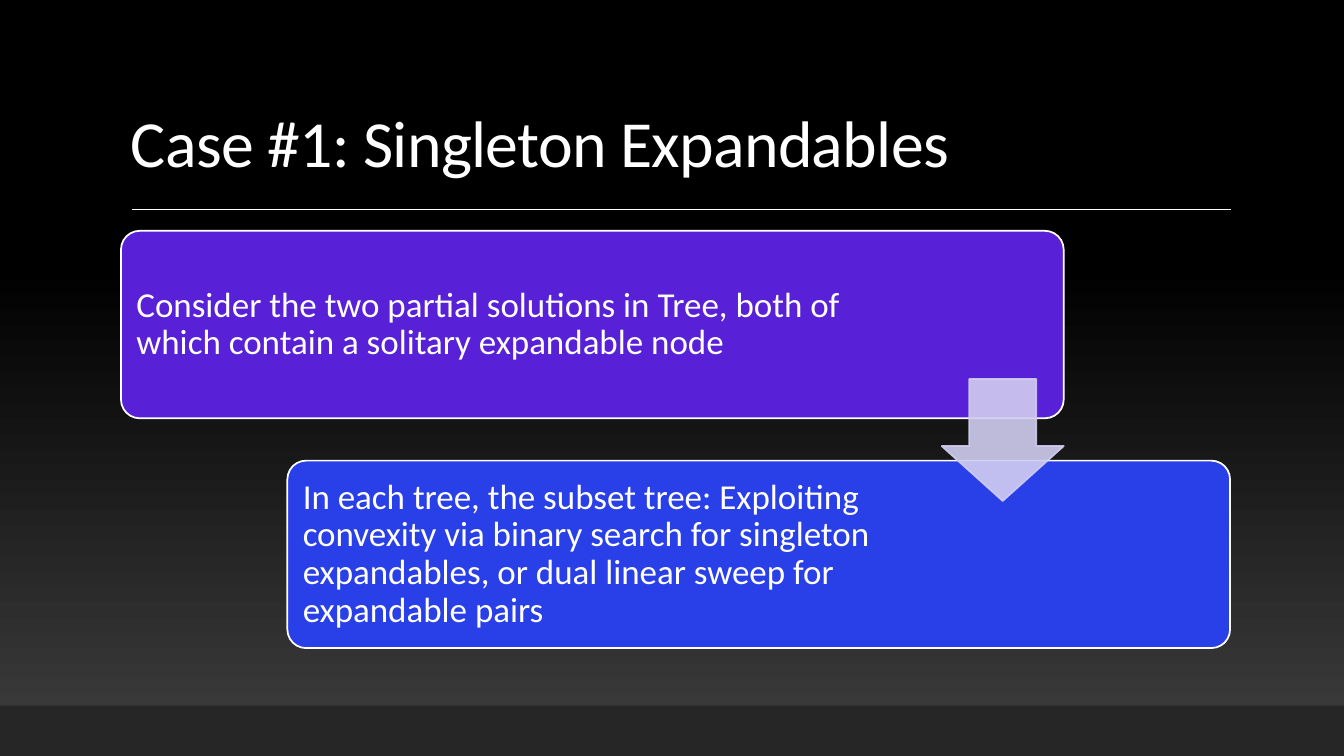
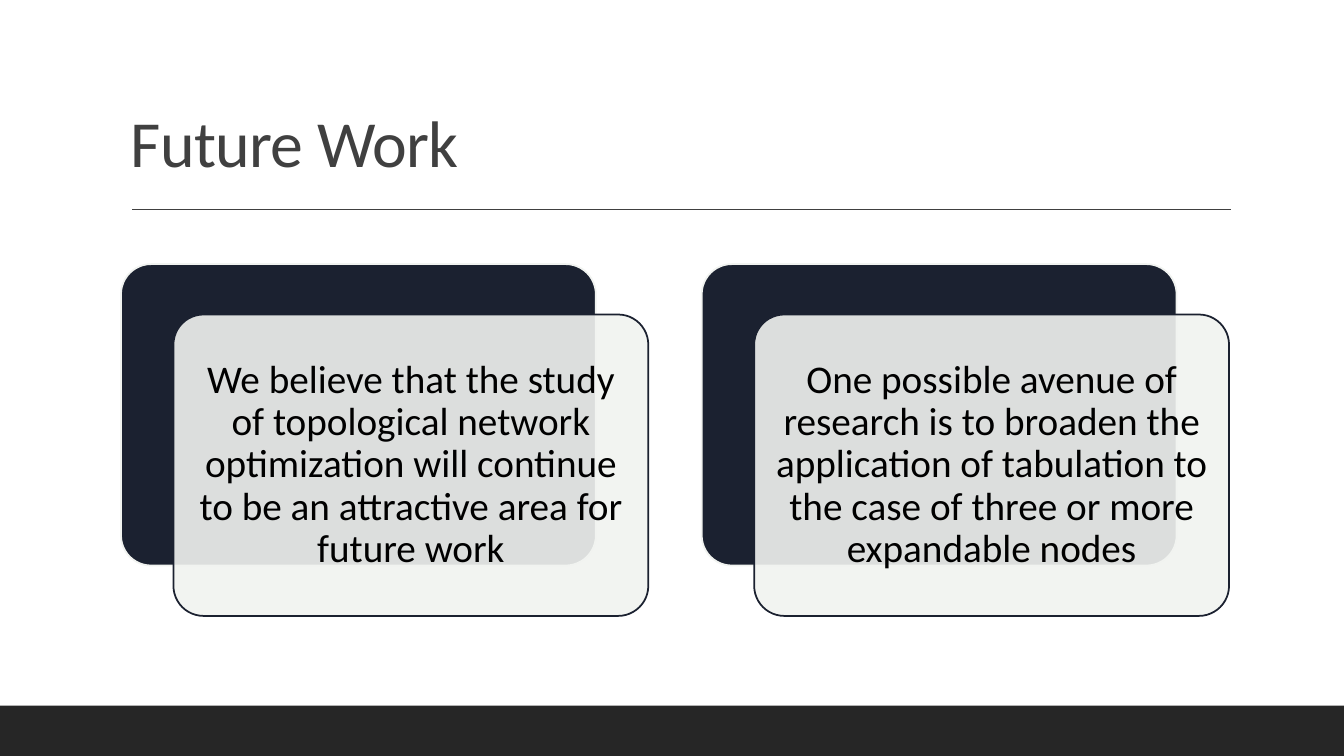
"""Build two slides on topological network optimization: a case study and future work."""
from dataclasses import dataclass

from lxml.etree import SubElement
from pptx import Presentation
from pptx.dml.color import RGBColor
from pptx.dml.fill import FillFormat
from pptx.enum.shapes import MSO_CONNECTOR, MSO_SHAPE
from pptx.enum.text import MSO_ANCHOR, PP_ALIGN
from pptx.oxml.ns import qn
from pptx.presentation import Presentation as Deck
from pptx.shapes.autoshape import Shape
from pptx.slide import Slide
from pptx.text.text import TextFrame
from pptx.util import Emu, Pt

EMU_PER_PX = 9144
SLIDE_WIDTH, SLIDE_HEIGHT = 1333, 750
FOOTER_HEIGHT = 50
FONT = "Calibri"
COLORS = {
    "white": "FFFFFF",
    "black": "000000",
    "glow": "3F3F3F",
    "ink": "404040",
    "footer": "262626",
    "violet": "5821D7",
    "blue": "293FE7",
    "lavender": "D1CDF0",
    "navy": "1B2130",
    "mist": "F1F3F0",
}


@dataclass(frozen=True)
class Box:
    left: int
    top: int
    width: int
    height: int

    def emu(self) -> tuple[Emu, Emu, Emu, Emu]:
        return px(self.left), px(self.top), px(self.width), px(self.height)

    def shifted(self, right: int, down: int) -> "Box":
        return Box(self.left + right, self.top + down, self.width, self.height)


@dataclass(frozen=True)
class Step:
    text: str
    fill: str
    shift: tuple[int, int]
    right_margin: int


TITLE = Box(120, 31, 1100, 159)
FOOTER = Box(0, SLIDE_HEIGHT - FOOTER_HEIGHT, SLIDE_WIDTH, FOOTER_HEIGHT)
RULE_LEFT, RULE_RIGHT, RULE_TOP = 131, 1221, 208

FIRST_STEP = Box(120, 229, 935, 186)
STEP_ARROW = Box(934, 376, 121, 121)
STEPS = (
    Step(
        "Consider the two partial solutions in Tree, both of which contain "
        "a solitary expandable node",
        "violet", (0, 0), 193,
    ),
    Step(
        "In each tree, the subset tree: Exploiting convexity via binary search for "
        "singleton  expandables, or dual linear sweep for expandable pairs",
        "blue", (165, 228), 297,
    ),
)

FIRST_CARD = Box(120, 262, 471, 299)
CARD_PITCH = 576
CARD_OFFSET = (52, 50)
IDEAS = (
    "We believe that the study of topological network optimization will continue "
    "to be an attractive area for future work",
    "One possible avenue of research is to broaden the application of tabulation "
    "to the case of three or more expandable nodes",
)


def px(length: int) -> Emu:
    return Emu(length * EMU_PER_PX)


def rgb(color: str) -> RGBColor:
    return RGBColor.from_string(COLORS[color])


def paint(fill: FillFormat, color: str) -> None:
    fill.solid()
    fill.fore_color.rgb = rgb(color)


def write(
    frame: TextFrame,
    text: str,
    *,
    size: int,
    color: str,
    align: PP_ALIGN = PP_ALIGN.LEFT,
    anchor: MSO_ANCHOR = MSO_ANCHOR.MIDDLE,
    margin: int = 10,
    right_margin: int | None = None,
    tracking: int = 0,
) -> None:
    frame.word_wrap = True
    frame.vertical_anchor = anchor
    frame.margin_left = frame.margin_top = frame.margin_bottom = px(margin)
    frame.margin_right = px(margin if right_margin is None else right_margin)
    paragraph = frame.paragraphs[0]
    paragraph.alignment = align
    paragraph.line_spacing = 0.9
    run = paragraph.add_run()
    run.text = text
    run.font.name = FONT
    run.font.size = Pt(size)
    run.font.color.rgb = rgb(color)
    if tracking:
        run.font._element.set("spc", str(tracking))


def set_opacity(shape: Shape, percent: int, *, line_too: bool) -> None:
    properties = shape.element.spPr
    parts = [properties.find(qn("a:solidFill"))]
    if line_too:
        parts.append(properties.find(qn("a:ln")))
    for part in parts:
        for color in part.iter(qn("a:srgbClr")):
            SubElement(color, qn("a:alpha")).set("val", str(percent * 1000))


def add_block(
    slide: Slide,
    kind: MSO_SHAPE,
    box: Box,
    *,
    fill: str,
    line: str | None = None,
    adjustments: tuple[float, ...] = (),
) -> Shape:
    block = slide.shapes.add_shape(kind, *box.emu())
    block.shadow.inherit = False
    paint(block.fill, fill)
    if line:
        block.line.color.rgb = rgb(line)
        block.line.width = Pt(1.25)
    else:
        block.line.fill.background()
    for index, value in enumerate(adjustments):
        block.adjustments[index] = value
    return block


def add_card(slide: Slide, box: Box, *, fill: str, line: str) -> Shape:
    return add_block(
        slide, MSO_SHAPE.ROUNDED_RECTANGLE, box, fill=fill, line=line, adjustments=(0.1,)
    )


def add_titled_slide(deck: Deck, title: str, color: str) -> Slide:
    slide = deck.slides.add_slide(deck.slide_layouts[6])
    heading = slide.shapes.add_textbox(*TITLE.emu())
    write(
        heading.text_frame, title,
        size=47, color=color, anchor=MSO_ANCHOR.BOTTOM, margin=10, tracking=-50,
    )
    rule = slide.shapes.add_connector(
        MSO_CONNECTOR.STRAIGHT, px(RULE_LEFT), px(RULE_TOP), px(RULE_RIGHT), px(RULE_TOP)
    )
    rule.line.color.rgb = rgb(color)
    rule.line.width = Pt(1)
    SubElement(rule._element.spPr, qn("a:effectLst"))
    add_block(slide, MSO_SHAPE.RECTANGLE, FOOTER, fill="footer")
    return slide


def build_case_slide(deck: Deck) -> None:
    slide = add_titled_slide(deck, "Case #1: Singleton Expandables", "white")
    backdrop = slide.background.fill
    backdrop.gradient()
    backdrop.gradient_angle = 90
    for stop, (color, position) in zip(
        backdrop.gradient_stops, (("glow", 0), ("black", 0.65))
    ):
        stop.color.rgb = rgb(color)
        stop.position = position
    for step in STEPS:
        card = add_card(slide, FIRST_STEP.shifted(*step.shift), fill=step.fill, line="white")
        write(
            card.text_frame, step.text,
            size=25, color="white", right_margin=step.right_margin,
        )
    arrow = add_block(
        slide, MSO_SHAPE.DOWN_ARROW, STEP_ARROW,
        fill="lavender", line="lavender", adjustments=(0.55, 0.45),
    )
    set_opacity(arrow, 90, line_too=True)


def build_future_slide(deck: Deck) -> None:
    slide = add_titled_slide(deck, "Future Work", "ink")
    paint(slide.background.fill, "white")
    for index, idea in enumerate(IDEAS):
        back = FIRST_CARD.shifted(index * CARD_PITCH, 0)
        add_card(slide, back, fill="navy", line="mist")
        front = add_card(slide, back.shifted(*CARD_OFFSET), fill="mist", line="navy")
        set_opacity(front, 90, line_too=False)
        write(
            front.text_frame, idea,
            size=28, color="black", align=PP_ALIGN.CENTER, margin=12,
        )


def main() -> None:
    deck = Presentation()
    deck.slide_width, deck.slide_height = px(SLIDE_WIDTH), px(SLIDE_HEIGHT)
    build_case_slide(deck)
    build_future_slide(deck)
    deck.save("out.pptx")


if __name__ == "__main__":
    main()
